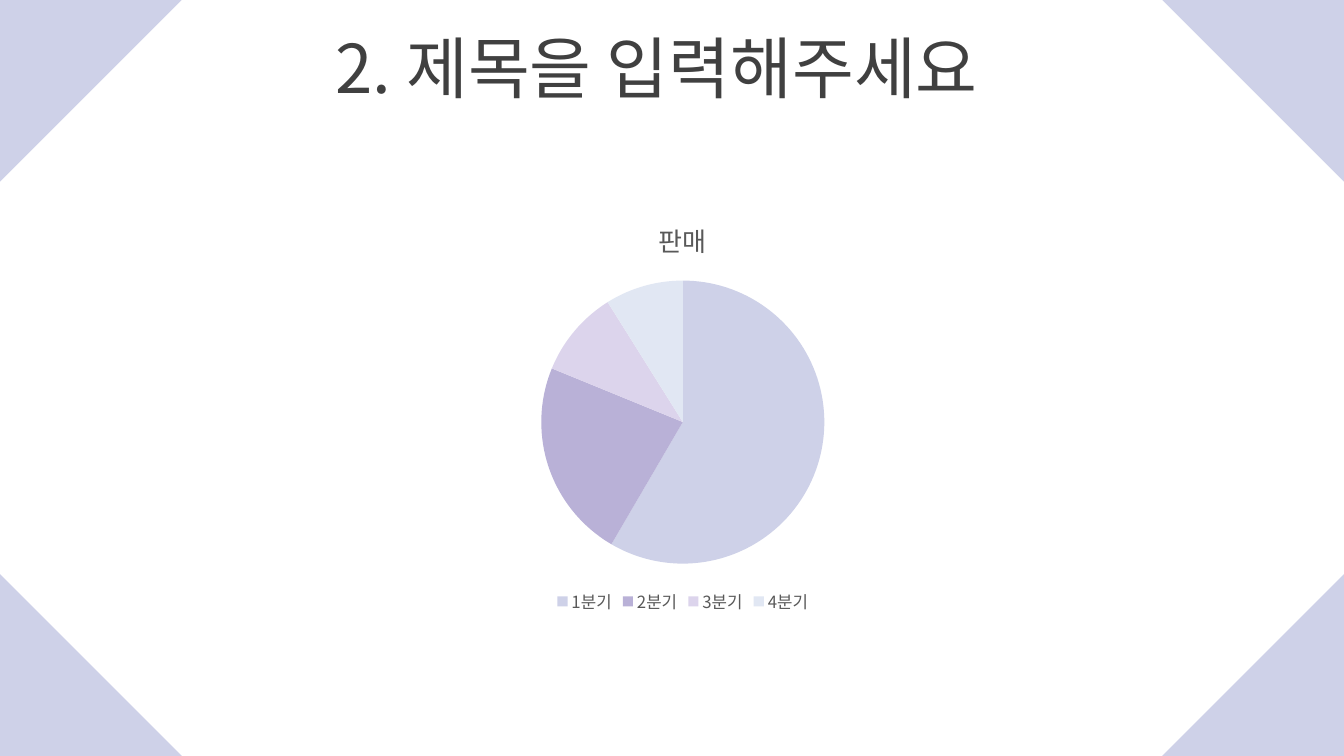
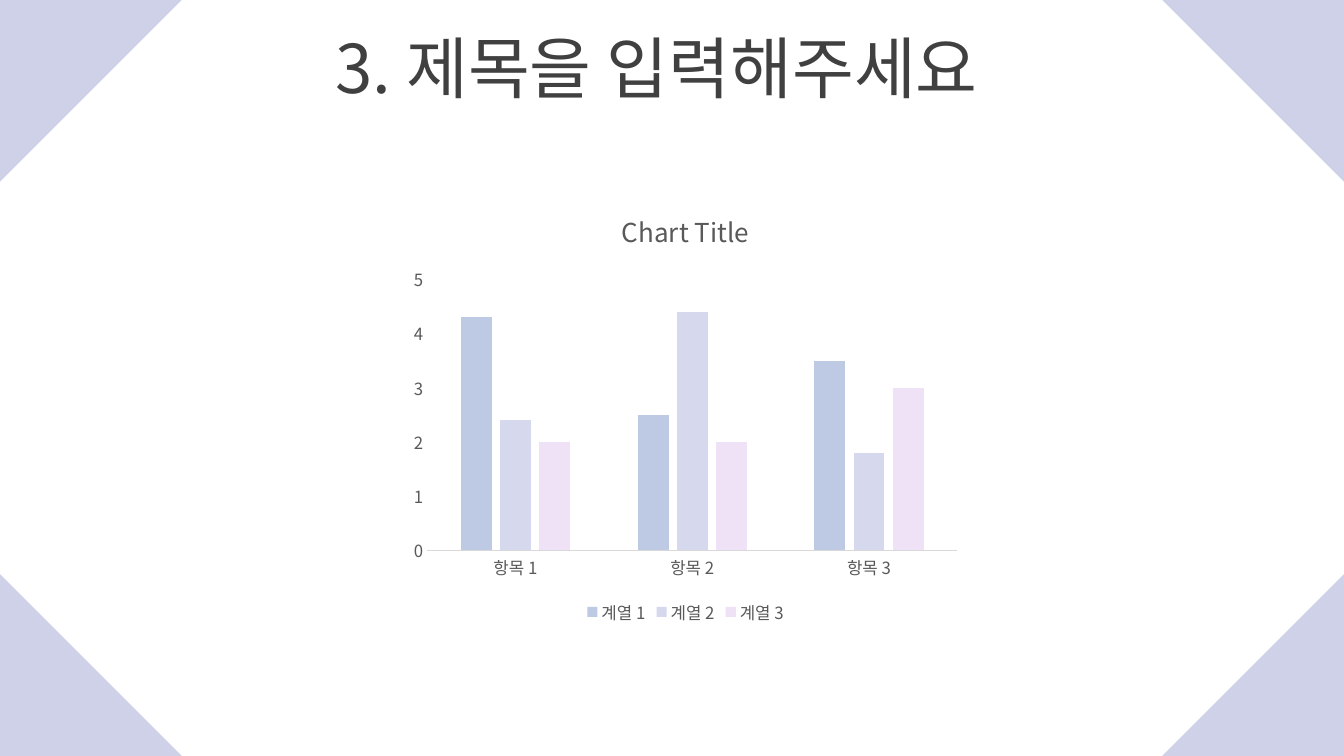
from copy import deepcopy

from pptx import Presentation
from pptx.chart.data import CategoryChartData
from pptx.dml.color import RGBColor
from pptx.enum.chart import XL_CHART_TYPE, XL_LEGEND_POSITION, XL_TICK_MARK
from pptx.enum.text import MSO_AUTO_SIZE, PP_ALIGN
from pptx.oxml.ns import qn
from pptx.util import Pt

WIDTH, HEIGHT = 960, 540
CORNER = 130  # leg of each corner triangle
FONT = "Noto Sans CJK KR"
COLORS = {
    "corner": "CED1E8",
    "paper": "FFFFFF",
    "title": "404040",
    "label": "595959",
    "axis": "D9D9D9",
}
QUARTER_COLORS = ["CED1E8", "B9B1D7", "DCD4EC", "E1E7F3"]
SERIES_COLORS = ["BECAE4", "D6D8EE", "F0E2F6"]


def paint(fill, color):
    fill.solid()
    fill.fore_color.rgb = RGBColor.from_string(color)


def style_font(font, size, color):
    font.name = FONT
    font.size = Pt(size)
    font.bold = False
    font.color.rgb = RGBColor.from_string(color)


def add_east_asian_font(element):
    """Repeat every Latin typeface for Korean text."""
    for latin in list(element.iter(qn("a:latin"))):
        korean = deepcopy(latin)
        korean.tag = qn("a:ea")
        latin.addnext(korean)


def set_master_frame(prs, slide):
    """Coloured corners around a white octagon, kept on the master."""
    master = prs.slide_master
    paint(master.background.fill, COLORS["corner"])
    right, bottom = WIDTH - CORNER, HEIGHT - CORNER
    corners = [
        (right, 0), (WIDTH, CORNER), (WIDTH, bottom), (right, HEIGHT),
        (CORNER, HEIGHT), (0, bottom), (0, CORNER),
    ]
    builder = slide.shapes.build_freeform(CORNER, 0, scale=Pt(1))
    builder.add_line_segments(corners, close=True)
    paper = builder.convert_to_shape()
    paint(paper.fill, COLORS["paper"])
    paper.line.fill.background()
    paper.shadow.inherit = False
    # Draw it behind everything else, with an id that is free on the master
    paper.element.nvSpPr.cNvPr.set("id", "100")
    master.element.cSld.spTree.insert(2, paper.element)


def add_title(slide, text):
    title = slide.shapes.add_textbox(Pt(219), Pt(15), Pt(500), Pt(65.5))
    frame = title.text_frame
    frame.word_wrap = True
    frame.auto_size = MSO_AUTO_SIZE.SHAPE_TO_FIT_TEXT
    paragraph = frame.paragraphs[0]
    paragraph.alignment = PP_ALIGN.CENTER
    run = paragraph.add_run()
    run.text = text
    style_font(run.font, 48, COLORS["title"])
    add_east_asian_font(title.element)


def add_chart(slide, kind, box, title, categories, series):
    """Add a chart with the shared title and legend style."""
    data = CategoryChartData()
    data.categories = categories
    for name, values in series:
        data.add_series(name, values)
    chart = slide.shapes.add_chart(kind, *map(Pt, box), data).chart
    style_font(chart.font, 10, "000000")
    chart.has_title = True
    run = chart.chart_title.text_frame.paragraphs[0].add_run()
    run.text = title
    style_font(run.font, 18.6, COLORS["label"])
    chart.chart_title.include_in_layout = False
    chart.has_legend = True
    chart.legend.position = XL_LEGEND_POSITION.BOTTOM
    chart.legend.include_in_layout = False
    style_font(chart.legend.font, 12, COLORS["label"])
    return chart


def add_quarter_pie(slide):
    chart = add_chart(
        slide, XL_CHART_TYPE.PIE, (322.5, 142.5, 330.5, 299), "판매",
        ["1분기", "2분기", "3분기", "4분기"], [("판매", (59, 23, 10, 9))],
    )
    sales = chart.plots[0].series[0]
    for index, color in enumerate(QUARTER_COLORS):
        quarter = sales.points[index].format
        paint(quarter.fill, color)
        quarter.line.fill.background()
    add_east_asian_font(chart.element)


def add_item_columns(slide):
    chart = add_chart(
        slide, XL_CHART_TYPE.COLUMN_CLUSTERED, (287.5, 136, 404.5, 313),
        "Chart Title", ["항목 1", "항목 2", "항목 3"],
        [
            ("계열 1", (4.3, 2.5, 3.5)),
            ("계열 2", (2.4, 4.4, 1.8)),
            ("계열 3", (2, 2, 3)),
        ],
    )
    columns = chart.plots[0]
    columns.vary_by_categories = False
    columns.gap_width = 219
    columns.overlap = -27
    for series, color in zip(columns.series, SERIES_COLORS):
        paint(series.format.fill, color)
        series.format.line.fill.background()

    # Axes
    items, scale = chart.category_axis, chart.value_axis
    for axis in (items, scale):
        axis.major_tick_mark = XL_TICK_MARK.NONE
        axis.minor_tick_mark = XL_TICK_MARK.NONE
        axis.has_major_gridlines = False
        style_font(axis.tick_labels.font, 12, COLORS["label"])
    items.format.line.width = Pt(0.75)
    paint(items.format.line.fill, COLORS["axis"])
    scale.format.line.fill.background()
    scale.minimum_scale = 0
    scale.maximum_scale = 5
    scale.major_unit = 1
    add_east_asian_font(chart.element)


def main():
    prs = Presentation()
    prs.slide_width, prs.slide_height = Pt(WIDTH), Pt(HEIGHT)
    blank = prs.slide_layouts[6]
    pie_slide, column_slide = (prs.slides.add_slide(blank) for _ in range(2))
    set_master_frame(prs, pie_slide)

    add_title(pie_slide, "2. 제목을 입력해주세요")
    add_quarter_pie(pie_slide)

    add_title(column_slide, "3. 제목을 입력해주세요")
    add_item_columns(column_slide)
    prs.save("out.pptx")


if __name__ == "__main__":
    main()
